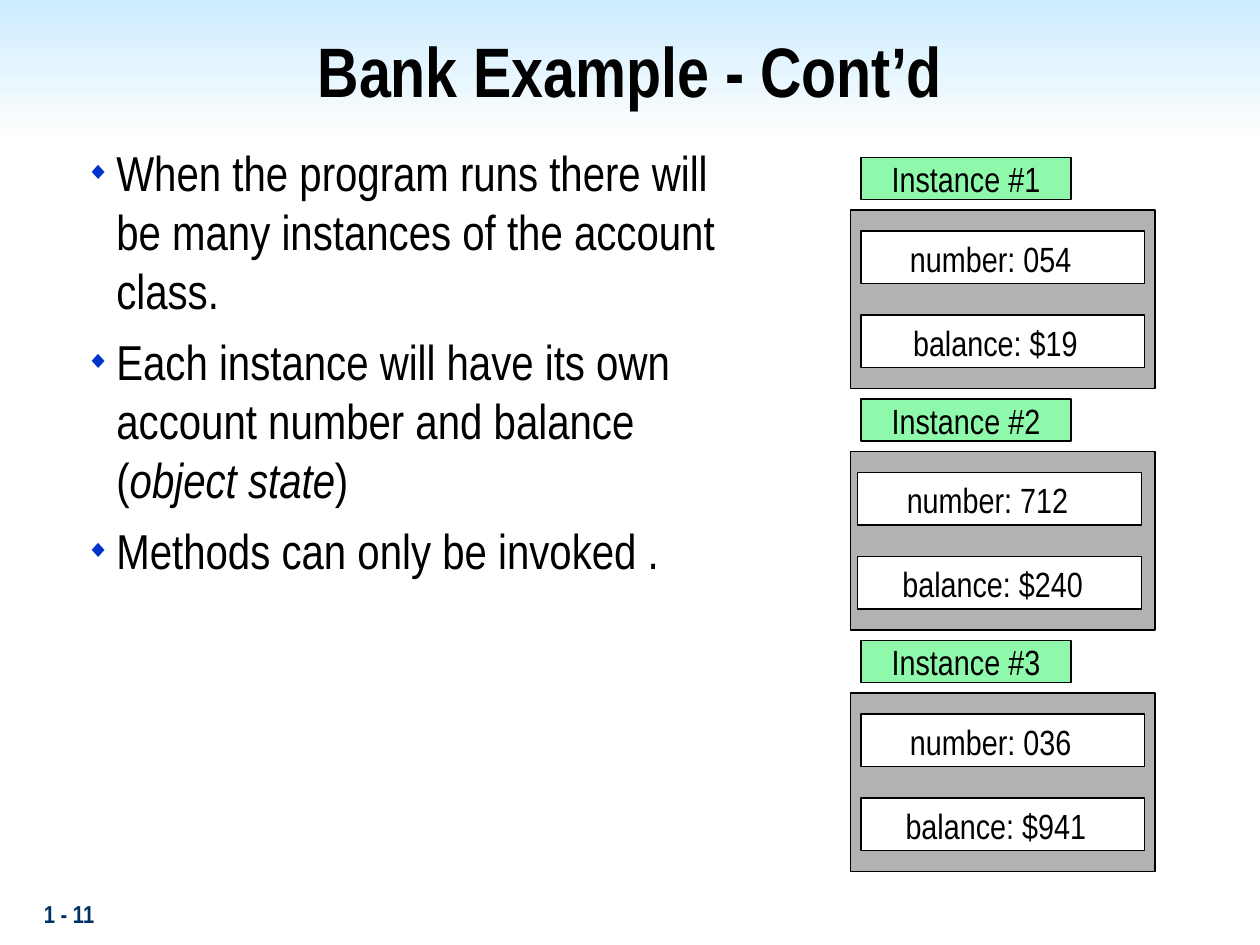
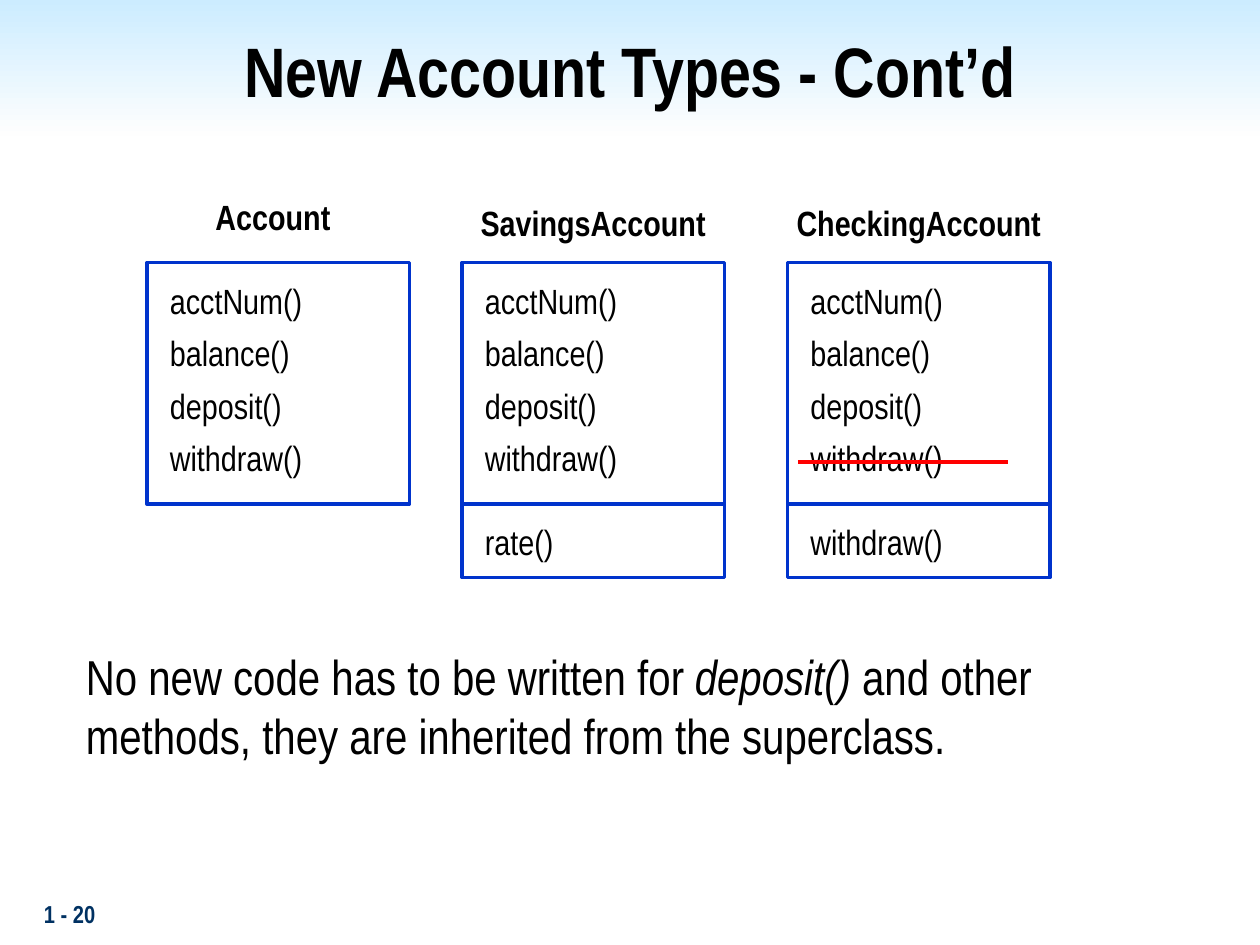
from dataclasses import dataclass

from lxml import etree
from pptx import Presentation
from pptx import util as u
from pptx.dml.color import RGBColor
from pptx.enum import shapes, text
from pptx.oxml.ns import qn

PX = 7620  # EMU in one px: 120 px to the inch
LEFT, CENTER = text.PP_ALIGN.LEFT, text.PP_ALIGN.CENTER


@dataclass(frozen=True)
class Theme:
    font: str = "Arial Narrow"
    ink: str = "000000"
    paper: str = "FFFFFF"
    band_top: str = "CCECFF"
    band_bottom: str = "FEFEFE"
    footer: str = "003162"
    accent: str = "0033CC"
    strike: str = "FF0000"
    frame: str = "B2B2B2"
    tag: str = "8FF9AB"
    title_size: int = 40
    body_size: int = 28
    label_size: int = 20
    footer_size: int = 14


def rgb(value):
    return RGBColor.from_string(value)


class Deck:
    """Holds the style and the slide being drawn."""

    def __init__(self, theme):
        self.theme = theme
        self.presentation = Presentation()
        self.presentation.slide_width = 1200 * PX
        self.presentation.slide_height = 900 * PX
        self.layout = self.presentation.slide_layouts[5]
        self.slide = self.shapes = None

    # Slide frame: band on the layout, title, footer
    def start_slide(self, title, footer):
        self.slide = self.presentation.slides.add_slide(self.layout)
        self.shapes = self.slide.shapes
        if len(self.presentation.slides) == 1:
            self.add_band_to_layout()
        placeholder = self.shapes.title
        self.place(placeholder, 20, 20, 1160, 90)
        self.fill_text(placeholder.text_frame, [title], self.theme.title_size, CENTER, bold=True)
        self.label(footer, 30, 850, 250, 40, size=self.theme.footer_size,
                   color=self.theme.footer, bold=True)

    def add_band_to_layout(self):
        band = self.box(0, 0, 1200, 130, self.theme.paper)
        band.fill.gradient()
        band.fill.gradient_angle = 270
        colors = (self.theme.band_top, self.theme.band_bottom)
        for stop, color in zip(band.fill.gradient_stops, colors):
            stop.color.rgb = rgb(color)
        band.element.nvSpPr.cNvPr.set("id", "20")
        self.layout.shapes.element.insert(2, band.element)

    def start_group(self):
        self.shapes = self.slide.shapes.add_group_shape().shapes

    # Elements
    def place(self, shape, x, y, width, height):
        shape.left, shape.top = x * PX, y * PX
        shape.width, shape.height = width * PX, height * PX

    def box(self, x, y, width, height, fill, line=None, weight=0.75):
        shape = self.shapes.add_shape(shapes.MSO_SHAPE.RECTANGLE,
                                      x * PX, y * PX, width * PX, height * PX)
        shape.shadow.inherit = False
        shape.fill.solid()
        shape.fill.fore_color.rgb = rgb(fill)
        if line:
            shape.line.color.rgb = rgb(line)
            shape.line.width = u.Pt(weight)
        else:
            shape.line.fill.background()
        return shape

    def label(self, content, x, y, width, height, size=None, align=LEFT, wrap=True, **style):
        return self.paragraphs([content], x, y, width, height,
                               size or self.theme.label_size, align, wrap, **style)

    def paragraphs(self, lines, x, y, width, height, size, align=LEFT, wrap=True, **style):
        frame = self.shapes.add_textbox(x * PX, y * PX, width * PX, height * PX).text_frame
        self.fill_text(frame, lines, size, align, wrap, **style)
        return frame

    def bullets(self, lines, x, y, width, height):
        frame = self.paragraphs(lines, x, y, width, height, self.theme.body_size)
        for paragraph in frame.paragraphs:
            paragraph.space_before = u.Pt(7)
            properties = paragraph._p.get_or_add_pPr()
            properties.set("marL", str(29 * PX))
            properties.set("indent", str(-29 * PX))
            color = etree.SubElement(properties, qn("a:buClr"))
            etree.SubElement(color, qn("a:srgbClr"), val=self.theme.accent)
            etree.SubElement(properties, qn("a:buSzPct"), val="50000")
            etree.SubElement(properties, qn("a:buFont"), typeface="Arial")
            etree.SubElement(properties, qn("a:buChar"), char="◆")

    def rule(self, x1, y1, x2, y2, color, weight):
        connector = self.shapes.add_connector(shapes.MSO_CONNECTOR.STRAIGHT,
                                              x1 * PX, y1 * PX, x2 * PX, y2 * PX)
        connector.line.color.rgb = rgb(color)
        connector.line.width = u.Pt(weight)
        etree.SubElement(connector.element.spPr, qn("a:effectLst"))

    def fill_text(self, frame, lines, size, align=LEFT, wrap=True, color=None, bold=False,
                  anchor=text.MSO_ANCHOR.TOP):
        """Fill a text frame; words between asterisks become italic."""
        frame.word_wrap = wrap
        frame.auto_size = text.MSO_AUTO_SIZE.NONE
        frame.vertical_anchor = anchor
        for index, line in enumerate(lines):
            paragraph = frame.add_paragraph() if index else frame.paragraphs[0]
            paragraph.alignment = align
            for part, words in enumerate(line.split("*")):
                run = paragraph.add_run()
                run.text = words
                run.font.name = self.theme.font
                run.font.size = u.Pt(size)
                run.font.bold = bold
                run.font.italic = part % 2 == 1
                run.font.color.rgb = rgb(color or self.theme.ink)

    # Composite parts
    def instance(self, name, y, slot_x, fields):
        theme = self.theme
        self.start_group()
        self.box(810, y + 50, 290, 170, theme.frame, theme.ink)
        for row, (content, indent, width) in enumerate(fields):
            slot_y = y + 70 + 80 * row
            self.box(slot_x, slot_y, 270, 50, theme.paper, theme.ink)
            self.label(content, slot_x + indent, slot_y, width, 53, align=CENTER, wrap=False)
        tag = self.box(820, y, 200, 40, theme.tag, theme.ink)
        self.fill_text(tag.text_frame, [name], theme.label_size, CENTER, wrap=False,
                       anchor=text.MSO_ANCHOR.MIDDLE)

    def class_box(self, x, y, height, methods):
        self.box(x, y, 250, height, self.theme.paper, self.theme.accent, 2)
        for row, method in enumerate(methods):
            self.label(method, x + 10, y + 10 + 50 * row, 230, 53)


def bank_example(deck):
    deck.start_slide("Bank Example - Cont’d", "1 - 11")
    deck.bullets([
        "When the program runs there will be many instances of the account class.",
        "Each instance will have its own account number and balance (*object state*)",
        "Methods can only be invoked .",
    ], 70, 130, 659, 710)

    # Instances: slot left edge, then text, indent and width of each field
    instances = [
        (820, [("number: 054", 31, 185), ("balance: $19", 34, 188)]),
        (817, [("number: 712", 31, 185), ("balance: $240", 31, 195)]),
        (820, [("number: 036", 31, 185), ("balance: $941", 31, 195)]),
    ]
    for index, (slot_x, fields) in enumerate(instances):
        deck.instance(f"Instance #{index + 1}", 150 + 230 * index, slot_x, fields)


def account_types(deck):
    deck.start_slide("New Account Types - Cont’d", "1 - 20")

    # Classes: box left edge, heading position and width, added methods
    inherited = ["acctNum()", "balance()", "deposit()", "withdraw()"]
    classes = [
        ("Account", 140, (140, 180, 240), []),
        ("SavingsAccount", 440, (420, 186, 290), ["rate()"]),
        ("CheckingAccount", 750, (710, 186, 330), ["withdraw()"]),
    ]
    for name, x, (head_x, head_y, head_width), added in classes:
        deck.label(name, head_x, head_y, head_width, 53, align=CENTER, bold=True)
        deck.class_box(x, 250, 230, inherited)
        if added:
            deck.class_box(x, 480, 70, added)

    # Overridden method struck out, and the conclusion
    deck.rule(760, 440, 960, 440, deck.theme.strike, 2.25)
    deck.label("No new code has to be written for *deposit()* and other methods, "
               "they are inherited from the superclass.",
               70, 610, 1050, 125, size=deck.theme.body_size)


def main():
    deck = Deck(Theme())
    bank_example(deck)
    account_types(deck)
    deck.presentation.save("out.pptx")


if __name__ == "__main__":
    main()
